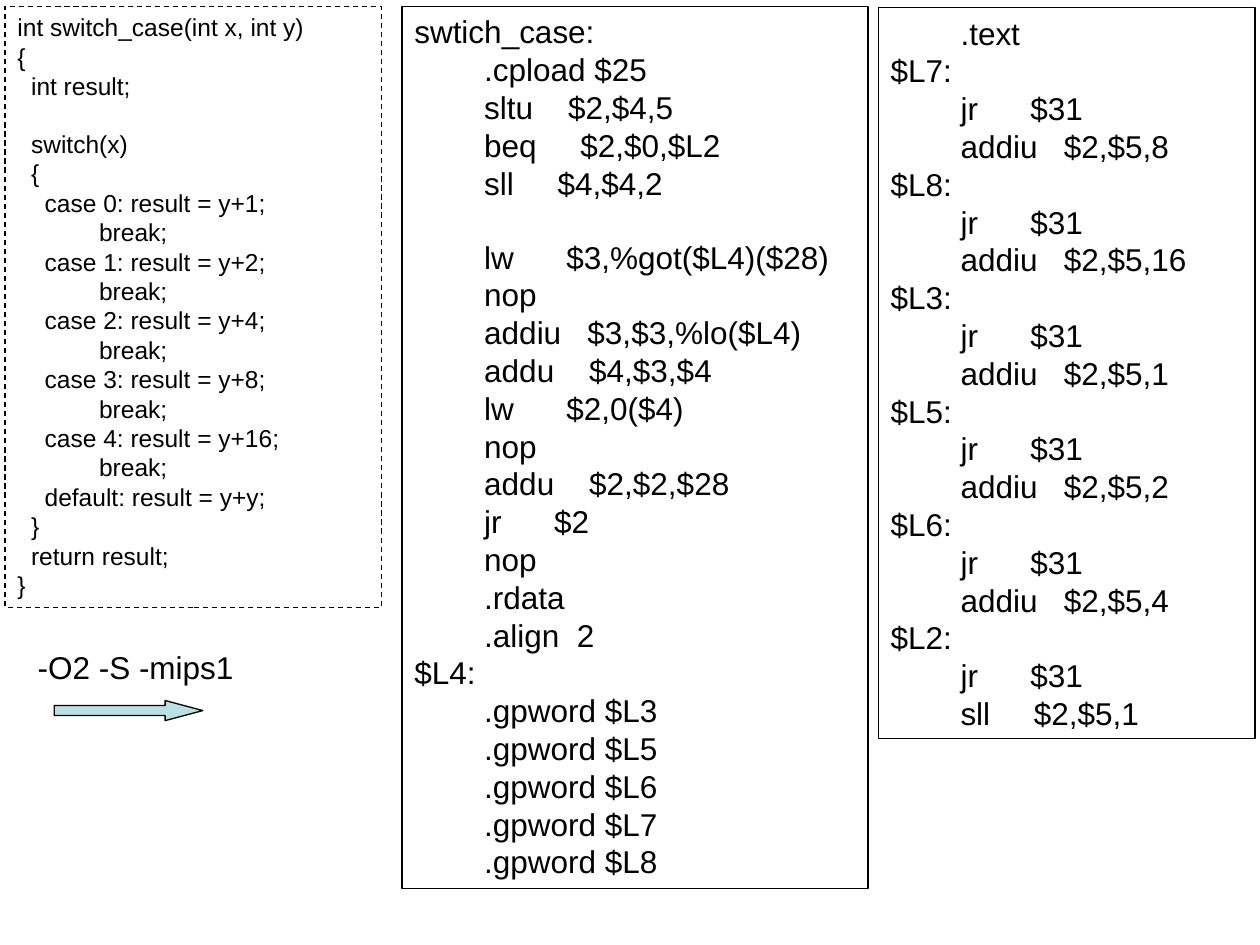
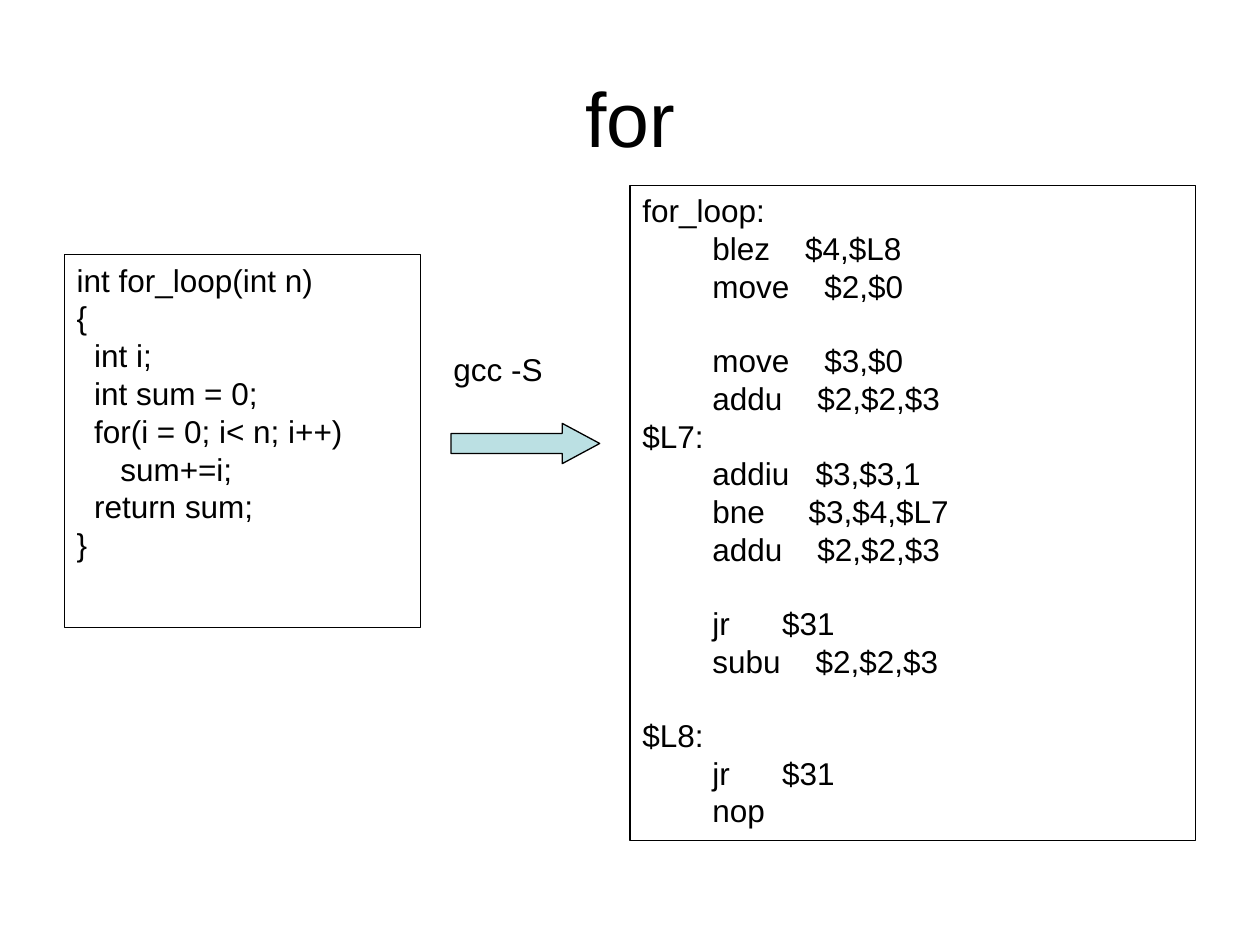
from dataclasses import dataclass

from pptx import Presentation
from pptx import slide as sl
from pptx import util as u
from pptx.dml import color
from pptx.enum import dml, shapes, text
from pptx.shapes import autoshape as au
from pptx.text import text as tx

PX = 9144
FONT = "Arial"
BLACK = "000000"
BLUE = "0000FF"
PALE_TEAL = "BBE0E3"
LINE_HEIGHT = 1.15
CODE_SIZE = 18
SMALL_CODE_SIZE = 14


@dataclass(frozen=True)
class Area:
    left: int
    top: int
    width: int
    height: int

    def emu(self) -> tuple[int, ...]:
        return tuple(side * PX for side in (self.left, self.top, self.width, self.height))


@dataclass(frozen=True)
class Listing:
    area: Area
    code: str
    size: int = CODE_SIZE
    dashed: bool = False
    highlighted: tuple[str, ...] = ()


@dataclass(frozen=True)
class Step:
    command: str
    label: Area
    arrow: Area
    head: float


def rgb(value: str) -> color.RGBColor:
    return color.RGBColor.from_string(value)


def add_span(para: tx._Paragraph, words: str, size: int, ink: str = BLACK) -> None:
    span = para.add_run()
    span.text = words
    span.font.name = FONT
    span.font.size = u.Pt(size)
    span.font.color.rgb = rgb(ink)


def add_outlined(page: sl.Slide, kind: shapes.MSO_SHAPE, area: Area) -> au.Shape:
    box = page.shapes.add_shape(kind, *area.emu())
    box.shadow.inherit = False
    box.line.color.rgb = rgb(BLACK)
    box.line.width = u.Pt(0.75)
    return box


def add_listing(page: sl.Slide, listing: Listing) -> None:
    box = add_outlined(page, shapes.MSO_SHAPE.RECTANGLE, listing.area)
    box.fill.background()
    if listing.dashed:
        box.line.dash_style = dml.MSO_LINE.DASH
    frame = box.text_frame
    frame.word_wrap = True
    frame.vertical_anchor = text.MSO_ANCHOR.TOP
    para = frame.paragraphs[0]
    gap = 0.0
    for number, line in enumerate(listing.code.strip("\n").split("\n")):
        if not line:
            gap = listing.size * LINE_HEIGHT
            continue
        if number:
            para = frame.add_paragraph()
        para.alignment = text.PP_ALIGN.LEFT
        para.space_before = u.Pt(gap)
        gap = 0.0
        ink = BLUE if line.strip().startswith(listing.highlighted) else BLACK
        add_span(para, line, listing.size, ink)


def add_step(page: sl.Slide, step: Step) -> None:
    label = page.shapes.add_textbox(*step.label.emu())
    label.text_frame.word_wrap = True
    add_span(label.text_frame.paragraphs[0], step.command, CODE_SIZE)
    arrow = add_outlined(page, shapes.MSO_SHAPE.RIGHT_ARROW, step.arrow)
    arrow.adjustments[0] = 0.5
    arrow.adjustments[1] = step.head
    arrow.fill.solid()
    arrow.fill.fore_color.rgb = rgb(PALE_TEAL)


def add_title(page: sl.Slide, words: str, area: Area) -> None:
    title = page.shapes.title
    title.left, title.top, title.width, title.height = area.emu()
    title.text_frame.vertical_anchor = text.MSO_ANCHOR.MIDDLE
    para = title.text_frame.paragraphs[0]
    para.alignment = text.PP_ALIGN.CENTER
    add_span(para, words, 44)


CASES = "\n".join(
    f"    case {case}: result = y+{2 ** case};\n            break;" for case in range(5)
)
SWITCH_C = f"""
int switch_case(int x, int y)
{{
  int result;

  switch(x)
  {{
{CASES}
    default: result = y+y;
  }}
  return result;
}}
"""

JUMP_TABLE = "\n".join(f"        .gpword $L{label}" for label in (3, 5, 6, 7, 8))
SWITCH_ASM = f"""
swtich_case:
        .cpload $25
        sltu    $2,$4,5
        beq     $2,$0,$L2
        sll     $4,$4,2

        lw      $3,%got($L4)($28)
        nop
        addiu   $3,$3,%lo($L4)
        addu    $4,$3,$4
        lw      $2,0($4)
        nop
        addu    $2,$2,$28
        jr      $2
        nop
        .rdata
        .align  2
$L4:
{JUMP_TABLE}
"""
POSITION_INDEPENDENT = (".cpload", "lw      $3", "addiu   $3")

BRANCHES = (
    (7, "addiu   $2,$5,8"),
    (8, "addiu   $2,$5,16"),
    (3, "addiu   $2,$5,1"),
    (5, "addiu   $2,$5,2"),
    (6, "addiu   $2,$5,4"),
    (2, "sll     $2,$5,1"),
)
BRANCH_ASM = "        .text\n" + "\n".join(
    f"$L{label}:\n        jr      $31\n        {result}" for label, result in BRANCHES
)

FOR_C = """
int for_loop(int n)
{
  int i;
  int sum = 0;
  for(i = 0; i< n; i++)
     sum+=i;
  return sum;
}
"""

FOR_ASM = """
for_loop:
        blez    $4,$L8
        move    $2,$0

        move    $3,$0
        addu    $2,$2,$3
$L7:
        addiu   $3,$3,1
        bne     $3,$4,$L7
        addu    $2,$2,$3

        jr      $31
        subu    $2,$2,$3

$L8:
        jr      $31
        nop
"""


def add_switch_page(page: sl.Slide) -> None:
    add_listing(page, Listing(Area(319, 5, 370, 700), SWITCH_ASM))
    add_listing(page, Listing(Area(697, 6, 299, 580), BRANCH_ASM))
    add_listing(page, Listing(Area(4, 5, 299, 477), SWITCH_C, SMALL_CODE_SIZE, dashed=True))
    add_step(page, Step("-O2 -S -mips1", Area(20, 509, 205, 40), Area(43, 556, 118, 16), 1.87))


def add_for_page(page: sl.Slide) -> None:
    add_title(page, "for", Area(50, 30, 900, 125))
    add_listing(page, Listing(Area(500, 147, 449, 520), FOR_ASM))
    add_listing(page, Listing(Area(51, 202, 283, 296), FOR_C))
    add_step(page, Step("gcc -S", Area(350, 273, 118, 40), Area(358, 336, 118, 32), 0.93))


def main() -> None:
    deck = Presentation()
    deck.slide_width = 1000 * PX
    deck.slide_height = 750 * PX
    title_only, blank = deck.slide_layouts[5], deck.slide_layouts[6]
    add_switch_page(deck.slides.add_slide(blank))
    add_for_page(deck.slides.add_slide(title_only))
    deck.save("out.pptx")


if __name__ == "__main__":
    main()
